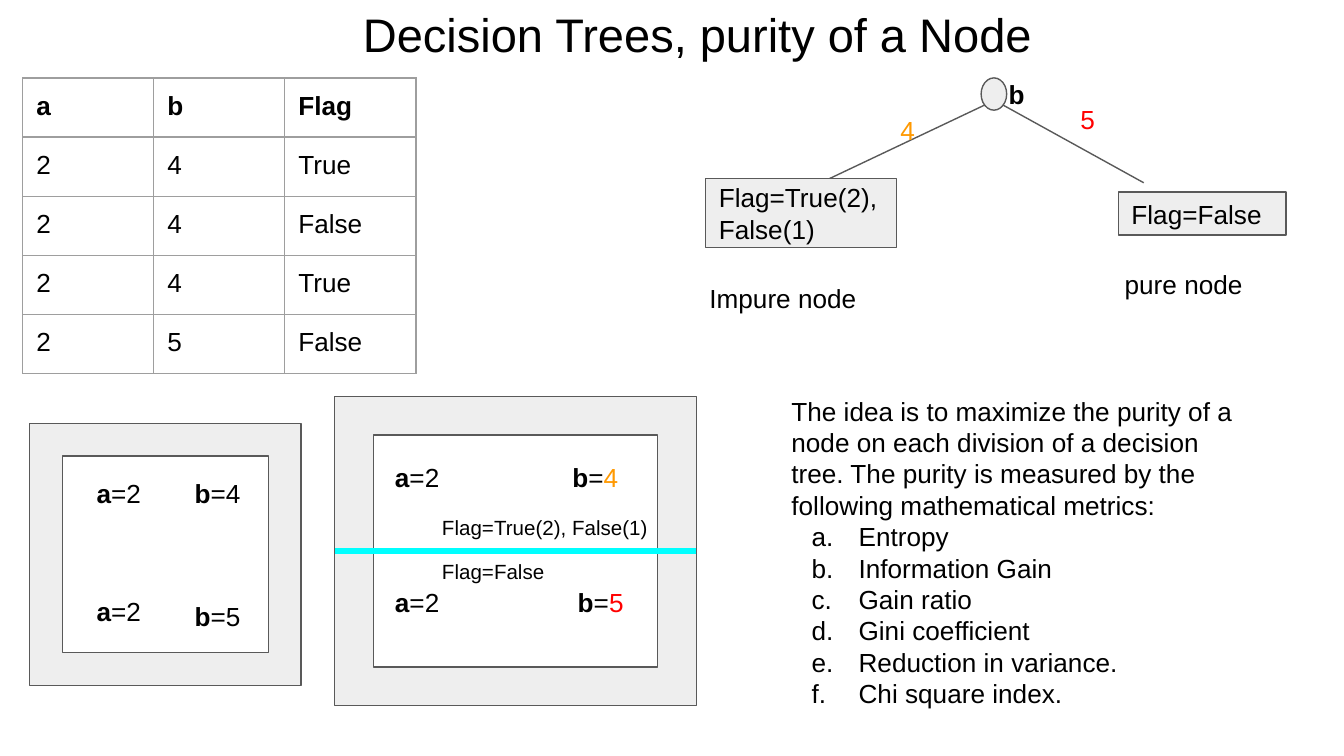
from dataclasses import dataclass

from lxml import etree
from pptx import Presentation
from pptx.dml.color import RGBColor
from pptx.enum.shapes import MSO_CONNECTOR, MSO_SHAPE
from pptx.enum.text import MSO_ANCHOR, MSO_AUTO_SIZE, PP_ALIGN
from pptx.oxml.ns import qn
from pptx.util import Inches, Pt

LEFT, CENTER = PP_ALIGN.LEFT, PP_ALIGN.CENTER
TOP, MIDDLE = MSO_ANCHOR.TOP, MSO_ANCHOR.MIDDLE
FIT, FIXED = MSO_AUTO_SIZE.SHAPE_TO_FIT_TEXT, MSO_AUTO_SIZE.NONE
RECT, OVAL, FRAME = MSO_SHAPE.RECTANGLE, MSO_SHAPE.OVAL, MSO_SHAPE.FRAME
STRAIGHT = MSO_CONNECTOR.STRAIGHT
LEFT_SITE, RIGHT_SITE = 1, 3
COLUMNS, ROWS = 100, 56.25


@dataclass(frozen=True)
class Theme:
    font: str = "Arial"
    ink: str = "000000"
    panel: str = "EEEEEE"
    outline: str = "595959"
    border: str = "9E9E9E"
    split: str = "00FFFF"
    four: str = "FF9900"
    five: str = "FF0000"
    title: float = 25.2
    body: float = 14
    small: float = 11
    thin: float = 0.75
    thick: float = 3


THEME = Theme()


def color(value):
    return RGBColor.from_string(value)


def place(*cells):
    return [Inches(cell / 10) for cell in cells]


class SlideBuilder:
    def __init__(self, theme, page):
        self.theme = theme
        self.page = page

    def add_spans(self, para, spans, size):
        for text, bold, ink in spans:
            span = para.add_run()
            span.text = text
            span.font.name = self.theme.font
            span.font.size = Pt(size)
            span.font.bold = bold
            span.font.color.rgb = color(ink)

    def fill_frame(self, frame, spans, size, align=LEFT, anchor=TOP, fit=FIXED):
        frame.word_wrap = True
        frame.auto_size = fit
        frame.vertical_anchor = anchor
        frame.margin_left = frame.margin_right = Inches(0.1)
        frame.margin_top = frame.margin_bottom = Inches(0.1)
        para = frame.paragraphs[0]
        para.alignment = align
        self.add_spans(para, spans, size)

    def title(self, area, text):
        box = self.page.shapes.title
        box.left, box.top, box.width, box.height = place(*area)
        self.fill_frame(box.text_frame, [plain(text)], self.theme.title, CENTER)

    def text(self, area, spans, size=None, align=LEFT):
        box = self.page.shapes.add_textbox(*place(*area))
        self.fill_frame(box.text_frame, spans, size or self.theme.body, align, fit=FIT)
        return box

    def lettered_list(self, box, items):
        for item in items:
            para = box.text_frame.add_paragraph()
            props = para._p.get_or_add_pPr()
            props.set("marL", str(Inches(0.5)))
            props.set("indent", str(Inches(-0.35)))
            tint = etree.SubElement(props, qn("a:buClr"))
            etree.SubElement(tint, qn("a:srgbClr"), val=self.theme.ink)
            etree.SubElement(props, qn("a:buFont"), typeface=self.theme.font)
            etree.SubElement(props, qn("a:buAutoNum"), type="alphaLcPeriod")
            self.add_spans(para, [plain(item)], self.theme.body)

    def shape(self, kind, area, text=None):
        shape = self.page.shapes.add_shape(kind, *place(*area))
        shape.shadow.inherit = False
        shape.fill.solid()
        shape.fill.fore_color.rgb = color(self.theme.panel)
        shape.line.color.rgb = color(self.theme.outline)
        shape.line.width = Pt(self.theme.thin)
        if text:
            self.fill_frame(shape.text_frame, [plain(text)], self.theme.body, anchor=MIDDLE)
        return shape

    def line(self, start, end, ink, width):
        line = self.page.shapes.add_connector(STRAIGHT, *place(*start, *end))
        line.line.color.rgb = color(ink)
        line.line.width = Pt(width)
        etree.SubElement(line._element.spPr, qn("a:effectLst"))
        return line

    def frame(self, area):
        frame = self.shape(FRAME, area)
        frame.adjustments[0] = 0.125
        return frame

    def border(self, cell):
        props = cell._tc.get_or_add_tcPr()
        for index, side in enumerate(("a:lnL", "a:lnR", "a:lnT", "a:lnB")):
            edge = etree.Element(qn(side), w=str(Pt(self.theme.thin)))
            fill = etree.SubElement(edge, qn("a:solidFill"))
            etree.SubElement(fill, qn("a:srgbClr"), val=self.theme.border)
            props.insert(index, edge)

    def table(self, left, top, column, row, records):
        area = (left, top, column * len(records[0]), row * len(records))
        table = self.page.shapes.add_table(len(records), len(records[0]), *place(*area)).table
        table.horz_banding = False
        for line in table.rows:
            line.height = place(row)[0]
        for line in table.columns:
            line.width = place(column)[0]
        for r, record in enumerate(records):
            for c, value in enumerate(record):
                cell = table.cell(r, c)
                cell.fill.background()
                self.border(cell)
                cell.margin_left = cell.margin_right = Inches(0.1)
                cell.margin_top = cell.margin_bottom = Inches(0.1)
                span = strong(value) if r == 0 else plain(value)
                self.add_spans(cell.text_frame.paragraphs[0], [span], self.theme.body)


def plain(text, ink=THEME.ink):
    return text, False, ink


def strong(text):
    return text, True, THEME.ink


def main():
    deck = Presentation()
    deck.slide_width, deck.slide_height = place(COLUMNS, ROWS)
    page = deck.slides.add_slide(deck.slide_layouts[5])
    build = SlideBuilder(THEME, page)
    build.title((5.3, -0.6, 93.2, 5.1), "Decision Trees, purity of a Node")

    split_frame = build.frame((24.9, 29.5, 26.9, 23))
    build.frame((2.2, 31.5, 20.2, 19.5))
    split = build.line((51.8, 41), (24.9, 41), THEME.split, THEME.thick)
    split.begin_connect(split_frame, RIGHT_SITE)
    split.end_connect(split_frame, LEFT_SITE)

    equations = [
        (28.4, 33.3, "a", "2", THEME.ink), (41.6, 33.3, "b", "4", THEME.four),
        (28.4, 42.6, "a", "2", THEME.ink), (42, 42.6, "b", "5", THEME.five),
        (6.2, 34.5, "a", "2", THEME.ink), (13.5, 34.5, "b", "4", THEME.ink),
        (6.2, 43.3, "a", "2", THEME.ink), (13.5, 43.7, "b", "5", THEME.ink),
    ]
    for left, top, name, value, ink in equations:
        spans = [strong(name), plain("="), plain(value, ink)]
        build.text((left, top, 5.9, 4.4), spans)
    for top, text in ((37.4, "Flag=True(2), False(1)"), (40.7, "Flag=False")):
        build.text((31.9, top, 18.1, 3.9), [plain(text)], THEME.small)

    build.shape(OVAL, (73, 5.8, 1.9, 2.4))
    for start, end in (((73.3, 7.8), (61.7, 13.3)), ((74.6, 7.8), (85.1, 13.6))):
        build.line(start, end, THEME.outline, THEME.thin)
    build.shape(RECT, (52.5, 13.3, 14.2, 5.1), "Flag=True(2),False(1)")
    build.shape(RECT, (83.2, 14.3, 12.5, 3.2), "Flag=False")
    build.text((71.6, 4.8, 8.1, 6.7), [strong("b")], align=CENTER)
    build.text((79.4, 6.7, 3.8, 4.4), [plain("5", THEME.five)])
    build.text((66, 7.5, 4.5, 4.4), [plain("4", THEME.four)])
    build.text((51.8, 20, 16.7, 4.4), [plain("Impure node")])
    build.text((82.7, 19, 16.7, 4.4), [plain("pure node")])

    build.table(1.7, 5.8, 9.75, 4.4, [
        ("a", "b", "Flag"),
        ("2", "4", "True"),
        ("2", "4", "False"),
        ("2", "4", "True"),
        ("2", "5", "False"),
    ])

    idea = build.text((57.9, 28.4, 35.7, 25.6), [plain(
        "The idea is to maximize the purity of a node on each division of a decision tree. "
        "The purity is measured by the following mathematical metrics:")])
    build.lettered_list(idea, [
        "Entropy", "Information Gain", "Gain ratio",
        "Gini coefficient", "Reduction in variance.", "Chi square index."])

    deck.save("out.pptx")


if __name__ == "__main__":
    main()
